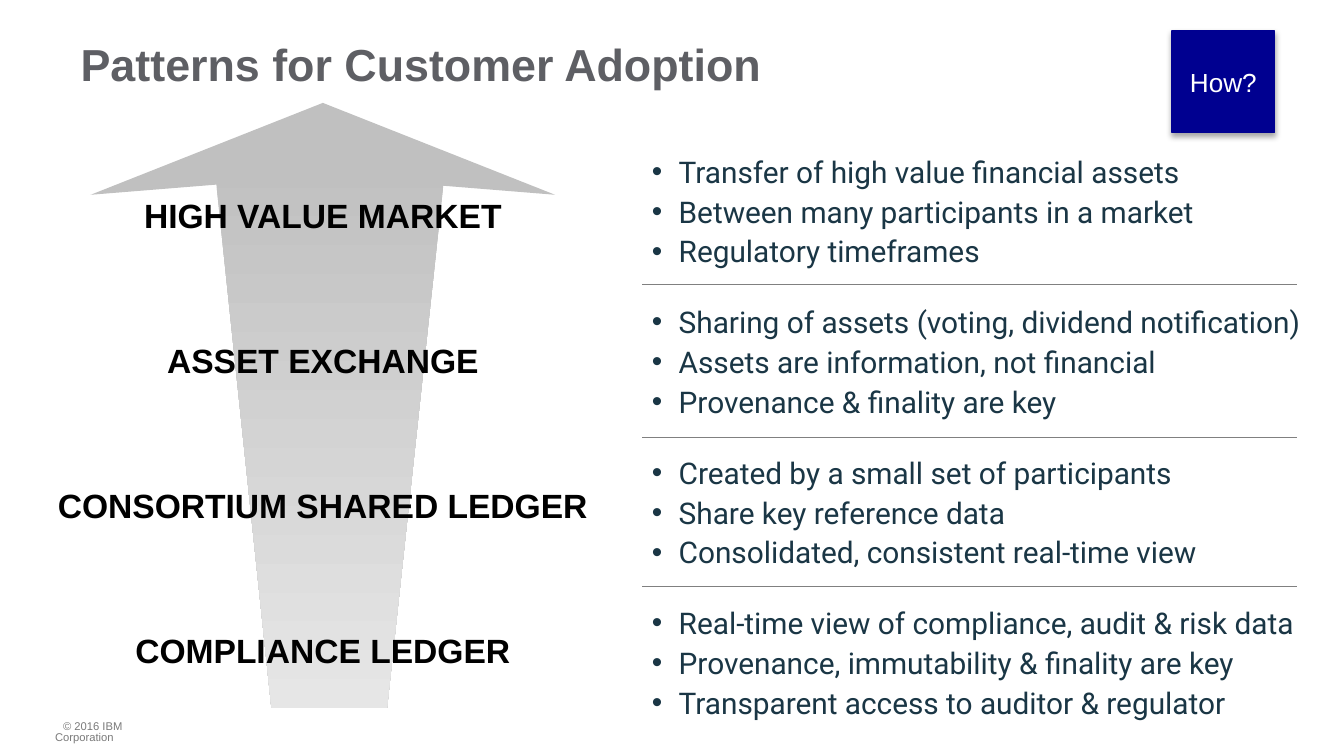
"""Builds the 'Patterns for Customer Adoption' slide."""
import pptx
import pptx.dml.color
import pptx.enum.dml
import pptx.enum.shapes
import pptx.enum.text
import pptx.oxml
import pptx.oxml.ns
import pptx.util

PX = 4572
RGB = pptx.dml.color.RGBColor.from_string
ALIGN = pptx.enum.text.PP_ALIGN
ANCHOR = pptx.enum.text.MSO_ANCHOR
NS = pptx.oxml.ns.nsdecls("a")

THEME = {
    "title": {"name": "Arial", "size": 24, "bold": True, "color": "5E5F64"},
    "label": {"name": "Arial", "size": 18, "bold": True, "color": "000000"},
    "list": {"name": "Roboto", "size": 16, "bold": False, "color": "1A3645"},
    "badge": {"name": "Arial", "size": 14, "bold": False, "color": "FFFFFF"},
    "footer": {"name": "Arial", "size": 6, "bold": False, "color": "7A7A7A"},
    "arrow": "C0C0C0",
    "arrow_end": "E6E6E6",
    "navy": "000090",
    "rule": "808080",
}

PATTERNS = [
    ("HIGH VALUE MARKET", [
        "Transfer of high value financial assets",
        "Between many participants in a market",
        "Regulatory timeframes"]),
    ("ASSET EXCHANGE", [
        "Sharing of assets (voting, dividend notification)",
        "Assets are information, not financial",
        "Provenance & finality are key"]),
    ("CONSORTIUM SHARED LEDGER", [
        "Created by a small set of participants",
        "Share key reference data",
        "Consolidated, consistent real-time view"]),
    ("COMPLIANCE LEDGER", [
        "Real-time view of compliance, audit & risk data",
        "Provenance, immutability & finality are key",
        "Transparent access to auditor & regulator"]),
]


def place(sp, box, anchor=ANCHOR.TOP, wrap=True):
    """Sets the box and frame of a shape and returns its text frame."""
    for name, value in zip(("left", "top", "width", "height"), box):
        setattr(sp, name, value * PX)
    tf = sp.text_frame
    for name, value in {"auto_size": pptx.enum.text.MSO_AUTO_SIZE.NONE,
                        "word_wrap": wrap, "vertical_anchor": anchor}.items():
        setattr(tf, name, value)
    return tf


def write(p, text, style, align=ALIGN.LEFT):
    """Writes one styled run into a paragraph."""
    p.alignment = align
    r = p.add_run()
    r.text = text
    look = THEME[style]
    for name, value in {"name": look["name"], "bold": look["bold"],
                        "size": pptx.util.Pt(look["size"])}.items():
        setattr(r.font, name, value)
    r.font.color.rgb = RGB(look["color"])


prs = pptx.Presentation()
prs.slide_width, prs.slide_height = 2000 * PX, 1125 * PX
s = prs.slides.add_slide(prs.slide_layouts.get_by_name("Comparison"))

arrow = s.shapes.add_group_shape()
for points in (
    [(318, 236), (404, 1054), (576, 1054), (664, 236)],
    [(480, 153), (480, 262), (826, 290)],
    [(481, 153), (481, 262), (135, 290)],
):
    outline = arrow.shapes.build_freeform(*points[0], scale=PX)
    outline.add_line_segments(points[1:], close=True)
    sp = outline.convert_to_shape()
    sp.shadow.inherit = False
    sp.line.fill.background()
    if len(points) == 4:
        sp.fill.gradient()
        sp.fill.gradient_angle = 270
        for stop, color in zip(sp.fill.gradient_stops, ("arrow", "arrow_end")):
            stop.color.rgb = RGB(THEME[color])
    else:
        sp.fill.solid()
        sp.fill.fore_color.rgb = RGB(THEME["arrow"])

tf = place(s.shapes.title, (100, 45, 1800, 188))
write(tf.paragraphs[0], "Patterns for Customer Adoption", "title")

for i, (label, points) in enumerate(PATTERNS):
    sp = s.shapes.add_textbox(0, 0, 0, 0)
    tf = place(sp, (57, 280 + 216 * i, 847, 80))
    write(tf.paragraphs[0], label, "label", ALIGN.CENTER)

    tf = place(s.placeholders[i + 1], (950, 218 + 224 * i, 1020, 194), wrap=False)
    for j, point in enumerate(points):
        p = tf.paragraphs[0] if j == 0 else tf.add_paragraph()
        pPr = p._p.get_or_add_pPr()
        pPr.set("marL", str(40 * PX))
        pPr.set("indent", str(-40 * PX))
        for tag in (f'<a:buFont {NS} typeface="Arial"/>', f'<a:buChar {NS} char="•"/>'):
            pPr.append(pptx.oxml.parse_xml(tag))
        p.line_spacing = 1.0
        p.space_before = pptx.util.Pt(2.2 if j else 0)
        write(p, point, "list")

for y in (423, 651, 873):
    rule = s.shapes.add_connector(
        pptx.enum.shapes.MSO_CONNECTOR.STRAIGHT, 956 * PX, y * PX, 1930 * PX, y * PX)
    rule.line.color.rgb = RGB(THEME["rule"])
    rule.line.width = pptx.util.Pt(0.25)
    rule._element.spPr.append(pptx.oxml.parse_xml(f"<a:effectLst {NS}/>"))

badge = s.shapes.add_shape(pptx.enum.shapes.MSO_SHAPE.RECTANGLE, 0, 0, 0, 0)
tf = place(badge, (1744, 46, 153, 151), ANCHOR.MIDDLE)
write(tf.paragraphs[0], "How?", "badge", ALIGN.CENTER)
badge.fill.solid()
badge.fill.fore_color.rgb = RGB(THEME["navy"])
badge.line.color.rgb = RGB(THEME["navy"])
badge.line.width = pptx.util.Pt(0.75)
badge._element.spPr.append(pptx.oxml.parse_xml(
    f'<a:effectLst {NS}><a:outerShdw blurRad="{pptx.util.Pt(3.1)}" '
    f'dist="{pptx.util.Pt(1.8)}" dir="5400000" rotWithShape="0">'
    '<a:srgbClr val="000000"><a:alpha val="35000"/></a:srgbClr>'
    '</a:outerShdw></a:effectLst>'))

tf = place(s.shapes.add_textbox(0, 0, 0, 0), (82, 1074, 182, 16))
for side in ("left", "top", "right", "bottom"):
    setattr(tf, f"margin_{side}", 0)
p = tf.paragraphs[0]
p._p.get_or_add_pPr().set("indent", str(12 * PX))
p.line_spacing = 0.8
write(p, "© 2016 IBM Corporation", "footer")

prs.save("out.pptx")
